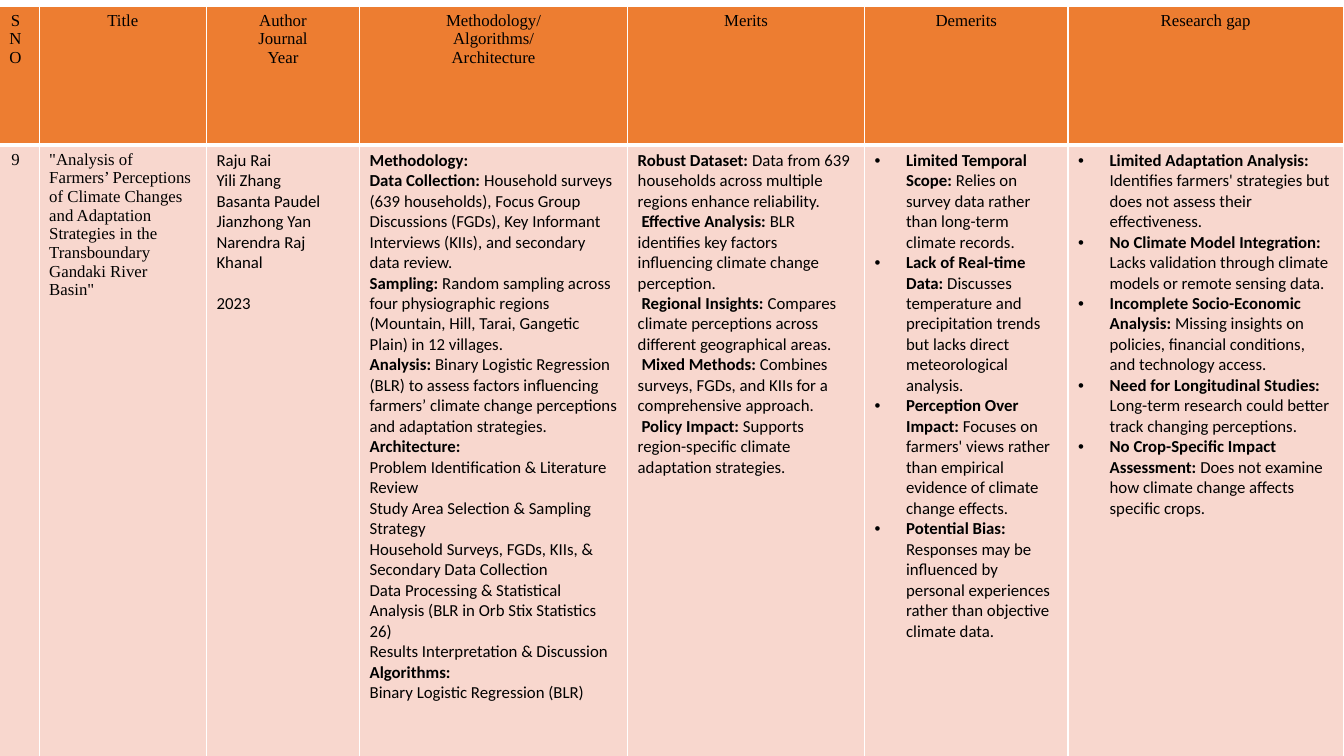
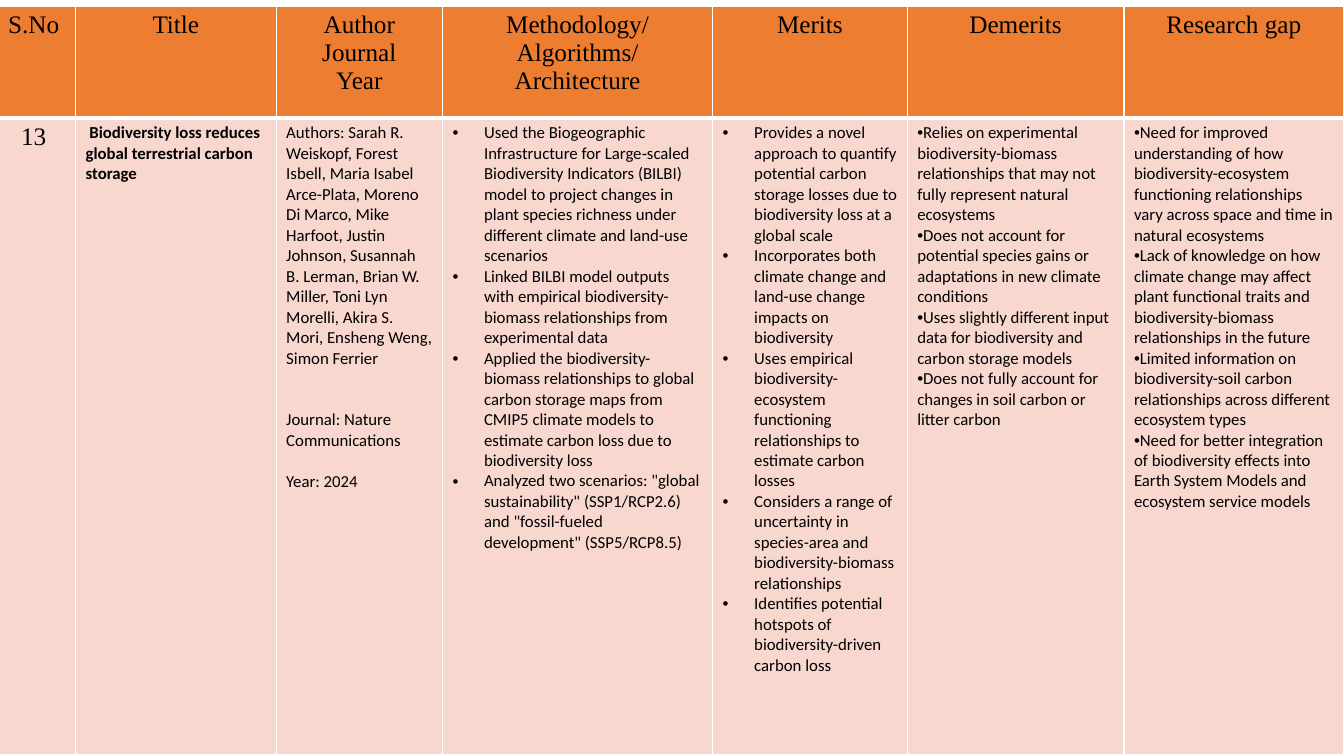
"""Build two literature-survey slides, each holding one full-page table."""
from lxml.etree import SubElement
from pptx import Presentation
from pptx.dml.color import RGBColor
from pptx.enum.text import PP_ALIGN
from pptx.oxml.ns import qn
from pptx.util import Pt

SERIF, SANS = "Times New Roman", "Calibri"
ORANGE, PEACH, WHITE, BLACK = "ED7D31", "F8D7CE", "FFFFFF", "000000"
TABLE_LEFT, TABLE_TOP = -5.8, 4.3
BODY_SIZE, LINE_HEIGHT = 12, 14.65
HANGING = {"bullet": True, "left": 22.5, "first": -22.5}
FLUSH = {"bullet": True}

HEADINGS = [
    ["Title"],
    ["Author", "Journal", "Year"],
    ["Methodology/", "Algorithms/", "Architecture"],
    ["Merits"],
    ["Demerits"],
    ["Research gap"],
]

SURVEYS = [
    {
        "number_heading": ["S", "N", "O"],
        "number": "9",
        "heading_size": 12,
        "widths": [33.8, 119.5, 109.4, 191.5, 169.2, 145.4, 196.6],
        "heights": [99.4, 447.1],
        "columns": [
            {"items": ["\"Analysis of Farmers’ Perceptions of Climate Changes and Adaptation "
                       "Strategies in the Transboundary Gandaki River Basin\""],
             "font": SERIF},
            {"items": ["Raju Rai", "Yili Zhang", "Basanta Paudel", "Jianzhong Yan",
                       "Narendra Raj Khanal", "2023"],
             "gaps": {5: 1}},
            {"items": [
                ("Methodology:", ""),
                ("Data Collection:", " Household surveys (639 households), Focus Group Discussions "
                 "(FGDs), Key Informant Interviews (KIIs), and secondary data review."),
                ("Sampling:", " Random sampling across four physiographic regions "
                 "(Mountain, Hill, Tarai, Gangetic Plain) in 12 villages."),
                ("Analysis:", " Binary Logistic Regression (BLR) to assess factors influencing "
                 "farmers’ climate change perceptions and adaptation strategies."),
                ("Architecture:", ""),
                "Problem Identification & Literature Review",
                "Study Area Selection & Sampling Strategy",
                "Household Surveys, FGDs, KIIs, & Secondary Data Collection",
                "Data Processing & Statistical Analysis (BLR in Orb Stix Statistics 26)",
                "Results Interpretation & Discussion",
                ("Algorithms:", ""),
                "Binary Logistic Regression (BLR)",
            ]},
            {"items": [
                ("Robust Dataset:", " Data from 639 households across multiple regions "
                 "enhance reliability."),
                ("Effective Analysis:", " BLR identifies key factors influencing "
                 "climate change perception."),
                ("Regional Insights:", " Compares climate perceptions across different "
                 "geographical areas."),
                ("Mixed Methods:", " Combines surveys, FGDs, and KIIs for a comprehensive approach."),
                ("Policy Impact:", " Supports region-specific climate adaptation strategies."),
            ], "later_first": 2.7},
            {"items": [
                ("Limited Temporal Scope:", " Relies on survey data rather than "
                 "long-term climate records."),
                ("Lack of Real-time Data:", " Discusses temperature and precipitation trends "
                 "but lacks direct meteorological analysis."),
                ("Perception Over Impact:", " Focuses on farmers' views rather than empirical "
                 "evidence of climate change effects."),
                ("Potential Bias:", " Responses may be influenced by personal experiences "
                 "rather than objective climate data."),
            ], **HANGING},
            {"items": [
                ("Limited Adaptation Analysis:", " Identifies farmers' strategies but does not "
                 "assess their effectiveness."),
                ("No Climate Model Integration:", " Lacks validation through climate models "
                 "or remote sensing data."),
                ("Incomplete Socio-Economic Analysis:", " Missing insights on policies, "
                 "financial conditions, and technology access."),
                ("Need for Longitudinal Studies:", " Long-term research could better track "
                 "changing perceptions."),
                ("No Crop-Specific Impact Assessment:", " Does not examine how climate change "
                 "affects specific crops."),
            ], **HANGING},
        ],
    },
    {
        "number_heading": ["S.No"],
        "number": "13",
        "heading_size": 18,
        "widths": [59.8, 143.3, 118.8, 193, 139, 154.8, 157],
        "heights": [79.9, 455],
        "columns": [
            {"items": [("Biodiversity loss reduces global terrestrial carbon storage", "")],
             "first": 2.7},
            {"items": [
                "Authors: Sarah R. Weiskopf, Forest Isbell, Maria Isabel Arce-Plata, "
                "Moreno Di Marco, Mike Harfoot, Justin Johnson, Susannah B. Lerman, "
                "Brian W. Miller, Toni Lyn Morelli, Akira S. Mori, Ensheng Weng, Simon Ferrier",
                "Journal: Nature Communications",
                "Year: 2024",
            ], "gaps": {1: 2, 2: 1}},
            {"items": [
                "Used the Biogeographic Infrastructure for Large‐scaled Biodiversity Indicators "
                "(BILBI) model to project changes in plant species richness under different "
                "climate and land-use scenarios",
                "Linked BILBI model outputs with empirical biodiversity-biomass relationships "
                "from experimental data",
                "Applied the biodiversity-biomass relationships to global carbon storage maps "
                "from CMIP5 climate models to estimate carbon loss due to biodiversity loss",
                "Analyzed two scenarios: \"global sustainability\" (SSP1/RCP2.6) and "
                "\"fossil-fueled development\" (SSP5/RCP8.5)",
            ], **HANGING},
            {"items": [
                "Provides a novel approach to quantify potential carbon storage losses due to "
                "biodiversity loss at a global scale",
                "Incorporates both climate change and land-use change impacts on biodiversity",
                "Uses empirical biodiversity-ecosystem functioning relationships to estimate "
                "carbon losses",
                "Considers a range of uncertainty in species-area and biodiversity-biomass "
                "relationships",
                "Identifies potential hotspots of biodiversity-driven carbon loss",
            ], **HANGING},
            {"items": [
                "Relies on experimental biodiversity-biomass relationships that may not fully "
                "represent natural ecosystems",
                "Does not account for potential species gains or adaptations in new climate "
                "conditions",
                "Uses slightly different input data for biodiversity and carbon storage models",
                "Does not fully account for changes in soil carbon or litter carbon",
            ], **FLUSH},
            {"items": [
                "Need for improved understanding of how biodiversity-ecosystem functioning "
                "relationships vary across space and time in natural ecosystems",
                "Lack of knowledge on how climate change may affect plant functional traits and "
                "biodiversity-biomass relationships in the future",
                "Limited information on biodiversity-soil carbon relationships across different "
                "ecosystem types",
                "Need for better integration of biodiversity effects into Earth System Models "
                "and ecosystem service models",
            ], **FLUSH},
        ],
    },
]


def color(value):
    return RGBColor.from_string(value)


def set_borders(cell, bottom=1):
    properties = cell._tc.get_or_add_tcPr()
    for side, width in (("L", 1), ("R", 1), ("T", 1), ("B", bottom)):
        line = SubElement(properties, qn(f"a:ln{side}"), w=str(Pt(width)))
        fill = SubElement(line, qn("a:solidFill"))
        SubElement(fill, qn("a:srgbClr"), val=WHITE)


def set_indent(para, left, first, bullet):
    properties = para._p.get_or_add_pPr()
    properties.set("marL", str(Pt(left)))
    properties.set("indent", str(Pt(first)))
    if bullet:
        SubElement(properties, qn("a:buFont"), typeface="Arial")
        SubElement(properties, qn("a:buChar"), char="•")


def write(cell, items, font=SANS, size=BODY_SIZE, align=PP_ALIGN.LEFT, left=0, first=0,
          later_first=None, bullet=False, gaps=None):
    frame = cell.text_frame
    for index, item in enumerate(items):
        para = frame.add_paragraph() if index else frame.paragraphs[0]
        indent = later_first if index and later_first else first
        set_indent(para, left, indent, bullet)
        para.alignment = align
        if gaps and index in gaps:
            para.space_before = Pt(gaps[index] * LINE_HEIGHT)
        lead, rest = item if isinstance(item, tuple) else ("", item)
        for text, bold in ((lead, True), (rest, False)):
            if text:
                span = para.add_run()
                span.text = text
                span.font.name = font
                span.font.size = Pt(size)
                span.font.bold = bold
                span.font.color.rgb = color(BLACK)


def paint(cell, fill, bottom=1):
    set_borders(cell, bottom)
    cell.fill.solid()
    cell.fill.fore_color.rgb = color(fill)


def add_survey(deck, survey):
    page = deck.slides.add_slide(deck.slide_layouts[6])
    widths, heights = survey["widths"], survey["heights"]
    table = page.shapes.add_table(len(heights), len(widths), Pt(TABLE_LEFT), Pt(TABLE_TOP),
                                  Pt(sum(widths)), Pt(sum(heights))).table
    table.first_row = table.horz_banding = False
    for column, width in zip(table.columns, widths):
        column.width = Pt(width)
    for row, height in zip(table.rows, heights):
        row.height = Pt(height)
    centred = {"font": SERIF, "size": survey["heading_size"], "align": PP_ALIGN.CENTER}
    headings = [survey["number_heading"]] + HEADINGS
    bodies = [{"items": [survey["number"]], **centred}] + survey["columns"]
    for index, (heading, body) in enumerate(zip(headings, bodies)):
        top, bottom = table.cell(0, index), table.cell(1, index)
        paint(top, ORANGE, bottom=3)
        paint(bottom, PEACH)
        write(top, heading, **centred)
        write(bottom, **body)


def main():
    deck = Presentation()
    deck.slide_width, deck.slide_height = Pt(960), Pt(540)
    for survey in SURVEYS:
        add_survey(deck, survey)
    deck.save("out.pptx")


if __name__ == "__main__":
    main()
